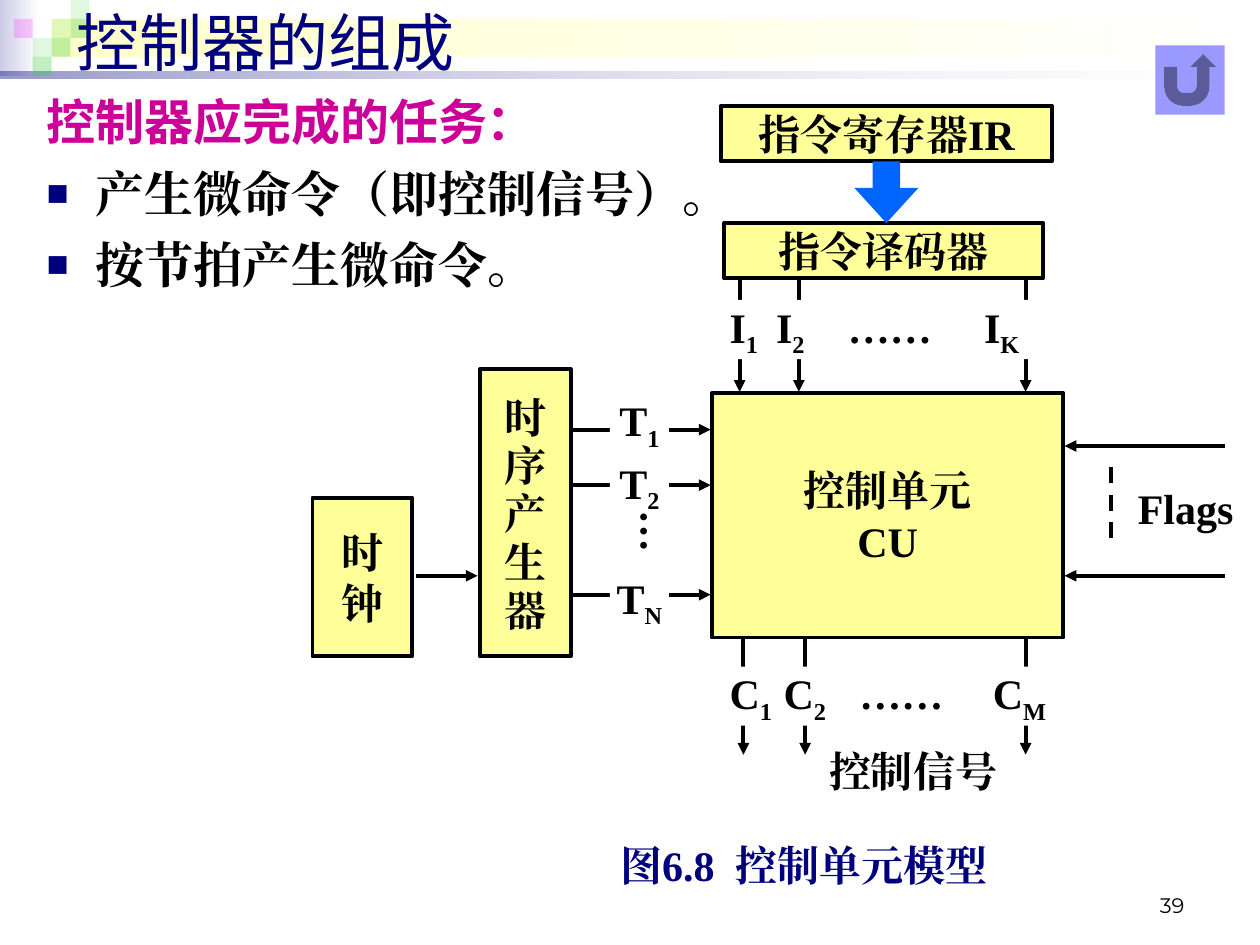
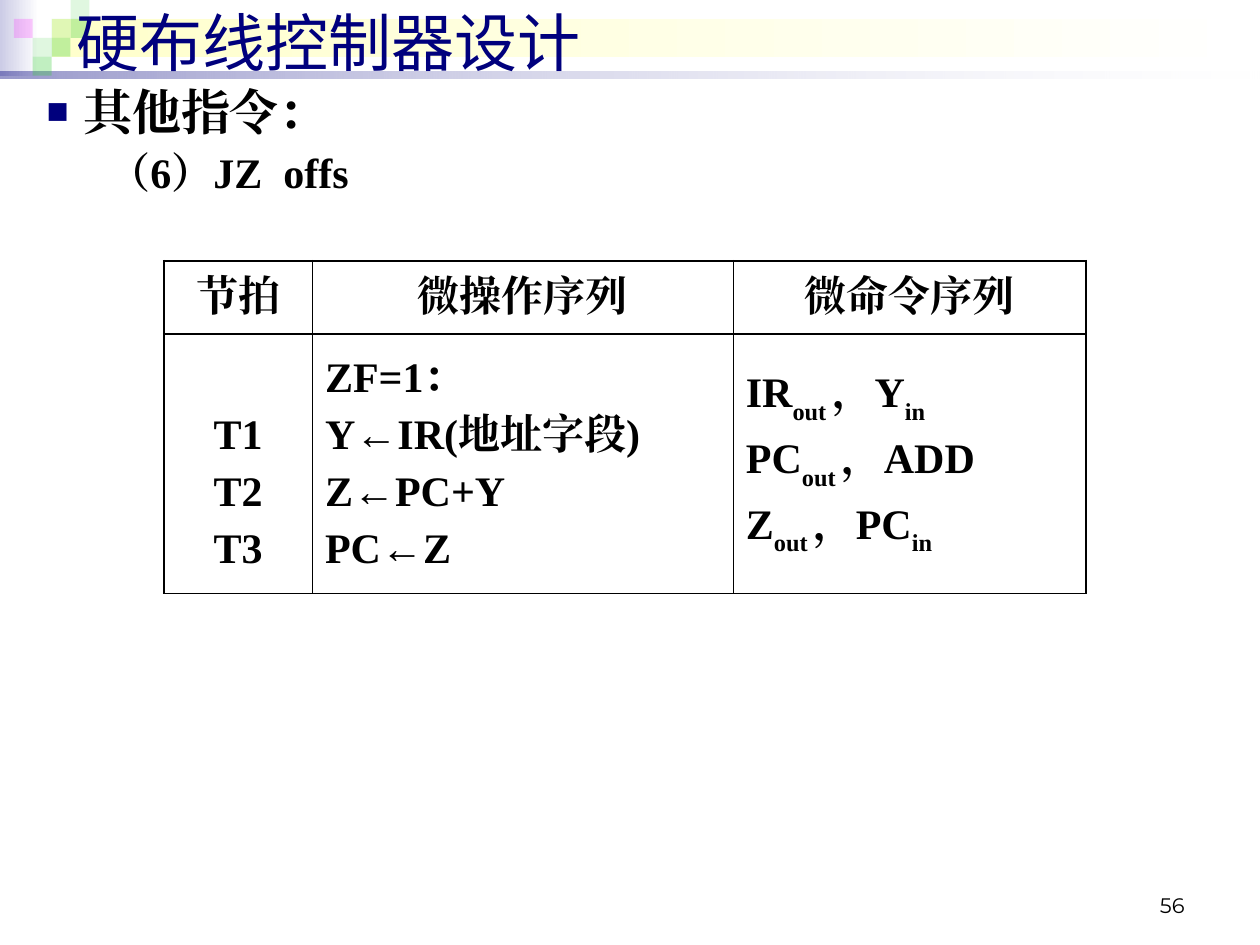
from lxml import etree
from pptx import Presentation
from pptx.dml.color import RGBColor
from pptx.enum import dml, shapes, text
from pptx.oxml.ns import qn
from pptx.util import Inches, Pt

NAVY = RGBColor(0x00, 0x00, 0x7D)
MAGENTA = RGBColor(0xCC, 0x00, 0x99)
BLACK = RGBColor(0x00, 0x00, 0x00)
WHITE = RGBColor(0xFF, 0xFF, 0xFF)
YELLOW = RGBColor(0xFF, 0xFF, 0x99)
BLUE = RGBColor(0x00, 0x66, 0xFF)
LILAC = RGBColor(0x99, 0x99, 0xFF)
PALE_LILAC = RGBColor(0xCC, 0xCC, 0xE6)
PALE_YELLOW = RGBColor(0xFF, 0xFF, 0xCC)
GREEN = RGBColor(0x33, 0xCC, 0x33)
PINK = RGBColor(0xFF, 0x00, 0xFF)

SHAPE = shapes.MSO_SHAPE
LEFT, CENTER, RIGHT = text.PP_ALIGN.LEFT, text.PP_ALIGN.CENTER, text.PP_ALIGN.RIGHT
MIDDLE, TOP, BOTTOM = text.MSO_ANCHOR.MIDDLE, text.MSO_ANCHOR.TOP, text.MSO_ANCHOR.BOTTOM
SERIF, SANS, CJK = "Times New Roman", "Arial", "Noto Sans CJK SC"


def write(frame, lines, size=24, font=SERIF, color=BLACK, bold=True, align=CENTER,
          anchor=MIDDLE, margins=(0, 0, 0, 0), gap=0, spacing=None, tabs=(),
          wrap=True, base=-25):
    """Fill a frame; every second piece between bars in a line is a subscript."""
    sides = ("margin_left", "margin_top", "margin_right", "margin_bottom")
    for side, margin in zip(sides, margins):
        setattr(frame, side, Inches(margin))
    frame.auto_size = text.MSO_AUTO_SIZE.NONE
    frame.word_wrap, frame.vertical_anchor = wrap, anchor
    for i, line in enumerate(lines):
        paragraph = frame.add_paragraph() if i else frame.paragraphs[0]
        paragraph.alignment, paragraph.line_spacing = align, spacing
        paragraph.space_before = Pt(gap if i else 0)
        if tabs:
            stops = etree.SubElement(paragraph._p.get_or_add_pPr(), qn("a:tabLst"))
            for stop in tabs:
                etree.SubElement(stops, qn("a:tab"), pos=str(Inches(stop)), algn="l")
        for j, piece in enumerate(line.split("|")):
            if not piece:
                continue
            run = paragraph.add_run()
            run.text = piece
            look = {"size": Pt(size), "name": font, "bold": bold}
            for key, value in look.items():
                setattr(run.font, key, value)
            run.font.color.rgb = color
            etree.SubElement(run._r.rPr, qn("a:ea"), typeface=font)
            if j % 2:
                run._r.rPr.set("baseline", str(base * 1000))


def add_block(slide, at, fill, kind=SHAPE.RECTANGLE, outline=False):
    block = slide.shapes.add_shape(kind, *map(Inches, at))
    block.shadow.inherit = False
    block.fill.solid()
    block.fill.fore_color.rgb = fill
    if outline:
        block.line.color.rgb, block.line.width = BLACK, Pt(2.25)
    else:
        block.line.fill.background()
    return block


prs = Presentation()
prs.slide_width, prs.slide_height = Inches(10), Inches(7.5)
layout = prs.slide_layouts[1]
PAD = (0.1, 0.05, 0.1, 0.05)

model, design = [prs.slides.add_slide(layout) for _ in range(2)]
for slide, heading, number in ((model, "控制器的组成", "39"), (design, "硬布线控制器设计", "56")):
    title = slide.shapes.title
    title.left, title.top, title.width, title.height = map(Inches, (0.51, -0.03, 9.37, 0.71))
    write(title.text_frame, [heading], 36, SANS, NAVY, False, LEFT, margins=PAD)

# Header decoration, drawn once and moved into the shared layout
ST = 0.15  # side of a mosaic tile
decoration = []
for at, start, end, alphas in (
        ((0, 0, 0.31, 0.6), WHITE, PALE_LILAC, ()),
        ((0.41, ST, 9.55, 0.3), WHITE, PALE_YELLOW, ()),
        ((0, 0.57, 10, 0.05), WHITE, NAVY, (10, 40))):
    band = add_block(model, at, start)
    band.fill.gradient()
    band.fill.gradient_angle = 180
    for stop, color in zip(band.fill.gradient_stops, (start, end)):
        stop.color.rgb = color
    decoration.append((band, alphas))
for column, row, color, alpha in (
        (2, 1, GREEN, 15), (3, 0, GREEN, 15), (3, 1, GREEN, 30), (1, 2, GREEN, 15),
        (0, 1, PINK, 20), (2, 2, GREEN, 30), (1, 3, GREEN, 30)):
    tile = add_block(model, (0.11 + column * ST, row * ST, ST, ST), color)
    decoration.append((tile, (alpha,)))
for i, (part, alphas) in enumerate(decoration):
    for color, alpha in zip(part._element.spPr.iter(qn("a:srgbClr")), alphas):
        etree.SubElement(color, qn("a:alpha"), val=str(alpha * 1000))
    part._element.nvSpPr.cNvPr.set("id", str(100 + i))
    layout.shapes._spTree.insert(2 + i, part._element)

# Body lists: text, size, font, colour, left margin, first-line indent, bulleted
tasks = [("控制器应完成的任务：", 28, SANS, MAGENTA, 0.39, -0.39, False),
         ("产生微命令（即控制信号）。", 28, SERIF, BLACK, 0.39, -0.39, True),
         ("按节拍产生微命令。", 28, SERIF, BLACK, 0.39, -0.39, True)]
others = [("其他指令：", 28, SERIF, BLACK, 0.29, -0.29, True),
          ("（6）JZ  offs", 24, SERIF, BLACK, 0.89, -0.4, False)]
for slide, items, at, gap in ((model, tasks, (0.27, 0.68, 9.61, 6.69), 7),
                              (design, others, (0.27, 0.6, 9.61, 1.02), 3)):
    body = slide.placeholders[1]
    body.left, body.top, body.width, body.height = map(Inches, at)
    write(body.text_frame, [item[0] for item in items], align=LEFT, anchor=TOP,
          margins=PAD, gap=gap)
    for paragraph, (_, size, font, color, margin, indent, bulleted) in zip(
            body.text_frame.paragraphs, items):
        pPr = paragraph._p.get_or_add_pPr()
        pPr.set("marL", str(Inches(margin)))
        pPr.set("indent", str(Inches(indent)))
        if bulleted:
            bullet_color = etree.SubElement(pPr, qn("a:buClr"))
            etree.SubElement(bullet_color, qn("a:srgbClr"), val=str(NAVY))
            etree.SubElement(pPr, qn("a:buSzPct"), val="75000")
            etree.SubElement(pPr, qn("a:buFont"), typeface=SANS)
            etree.SubElement(pPr, qn("a:buChar"), char="■")
        else:
            etree.SubElement(pPr, qn("a:buNone"))
        run = paragraph.runs[0]
        run.font.size, run.font.name, run.font.color.rgb = Pt(size), font, color
        run._r.rPr.find(qn("a:ea")).set("typeface", font)
others_level = design.placeholders[1].text_frame.paragraphs[1]
others_level.level = 1

# Control unit model: outlined units
for at, lines, margins, spacing in (
        ((5.65, 3.12, 2.79, 1.94), ["控制单元", "CU"], (0.1, 0, 0.1, 0), None),
        ((3.81, 2.93, 0.72, 2.28), ["时序产生器"], (0.06, 0.04, 0.06, 0), 0.96),
        ((5.72, 0.84, 2.63, 0.44), ["指令寄存器IR"], (0.1, 0, 0.1, 0), None),
        ((5.75, 1.77, 2.53, 0.44), ["指令译码器"], (0.1, 0, 0.1, 0), None),
        ((2.48, 3.95, 0.79, 1.26), ["时", "钟"], PAD, None)):
    unit = add_block(model, at, YELLOW, outline=True)
    write(unit.text_frame, lines, margins=margins, spacing=spacing)

decode = add_block(model, (6.78, 1.28, 0.51, 0.49), BLUE, SHAPE.DOWN_ARROW)
decode.adjustments[0], decode.adjustments[1] = 0.43, 0.57

# Signal lines, each pointing at its second end
signals = [(x, 2.21, x, 3.11) for x in (5.87, 6.34, 8.14)]
signals += [(x, 5.06, x, 5.99) for x in (5.9, 6.39, 8.14)]
signals += [(4.53, y, 5.64, y) for y in (3.41, 3.85, 4.72)]
signals += [(9.72, y, 8.45, y) for y in (3.54, 4.57)]
signals += [(3.3, 4.57, 3.79, 4.57)]
flag_gap = (8.82, 3.71, 8.82, 4.35)
for ends in signals + [flag_gap]:
    wire = model.shapes.add_connector(shapes.MSO_CONNECTOR.STRAIGHT, *map(Inches, ends))
    wire.line.color.rgb, wire.line.width = BLACK, Pt(2.25)
    if ends == flag_gap:
        wire.line.dash_style = dml.MSO_LINE.DASH
    else:
        etree.SubElement(wire.line._get_or_add_ln(), qn("a:tailEnd"), type="triangle")
    etree.SubElement(wire._element.spPr, qn("a:effectLst"))

# White labels that interrupt the lines
for at, lines, look in (
        ((5.79, 2.38, 2.76, 0.47), ["I|1|\tI|2|\t……\tI|K"],
         {"align": LEFT, "spacing": 0.8, "tabs": (0.37, 0.94, 2.02)}),
        ((5.79, 5.29, 2.66, 0.47), ["C|1|\tC|2|\t……\tC|M"],
         {"align": LEFT, "spacing": 0.8, "tabs": (0.43, 1.03, 2.09)}),
        ((4.84, 3.16, 0.47, 1.81), ["T|1", "T|2", "T|N"], {"gap": 3}),
        ((6.58, 5.92, 1.33, 0.4), ["控制信号"], {"align": LEFT, "wrap": False}),
        ((9.03, 3.8, 0.65, 0.46), ["Flags"], {"align": LEFT, "wrap": False}),
        ((4.53, 6.66, 3.7, 0.4), ["图6.8  控制单元模型"], {"color": NAVY})):
    label = add_block(model, at, WHITE)
    write(label.text_frame, lines, **look)
    if lines[-1] == "T|N":  # room for the vertical ellipsis
        label.text_frame.paragraphs[-1].space_before = Pt(33)

ellipsis = model.shapes.add_textbox(*map(Inches, (4.87, 3.95, 0.6, 0.87)))
write(ellipsis.text_frame, ["…"], margins=(0.05, 0.1, 0.05, 0.1), anchor=TOP)
ellipsis.text_frame._txBody.bodyPr.set("vert", "eaVert")

add_block(model, (9.17, 0.36, 0.55, 0.55), LILAC, SHAPE.ACTION_BUTTON_RETURN)

# Micro-operation table
rows = [[["节拍"], ["微操作序列"], ["微命令序列"]],
        [["T1", "T2", "T3"],
         ["ZF=1：", "Y←IR(地址字段)", "Z←PC+Y", "PC←Z"],
         ["IR|out |，Y|in", "PC|out |，ADD", "Z|out |，PC|in"]]]
steps = design.shapes.add_table(2, 3, *map(Inches, (1.3, 2.07, 7.32, 2.64))).table
steps.first_row = steps.horz_banding = False
for column, width in zip(steps.columns, (1.18, 3.34, 2.8)):
    column.width = Inches(width)
for row, height in zip(steps.rows, (0.58, 2.06)):
    row.height = Inches(height)
for r, row in enumerate(rows):
    for c, lines in enumerate(row):
        cell = steps.cell(r, c)
        write(cell.text_frame, lines, align=LEFT if r and c else CENTER, gap=6, base=-30)
        cell.vertical_anchor = MIDDLE
        top = 0.5 if r and not c else 0.05  # beats start beside the second operation
        for side, margin in zip(("left", "top", "right", "bottom"), (0.1, top, 0.1, 0.05)):
            setattr(cell, "margin_" + side, Inches(margin))
        tcPr = cell._tc.get_or_add_tcPr()
        outer = {"L": c == 0, "R": c == 2, "T": True, "B": True}
        for side, thick in outer.items():
            border = etree.SubElement(tcPr, qn("a:ln" + side), w=str(Pt(1.08 if thick else 0.45)))
            paint = etree.SubElement(border, qn("a:solidFill"))
            etree.SubElement(paint, qn("a:srgbClr"), val=str(BLACK))
        cell.fill.background()

# Page numbers
for slide, number in ((model, "39"), (design, "56")):
    page = slide.shapes.add_textbox(*map(Inches, (7.17, 6.83, 2.33, 0.5)))
    write(page.text_frame, [number], 12, "Montserrat", bold=False, align=RIGHT,
          anchor=BOTTOM, margins=PAD)

prs.save("out.pptx")
